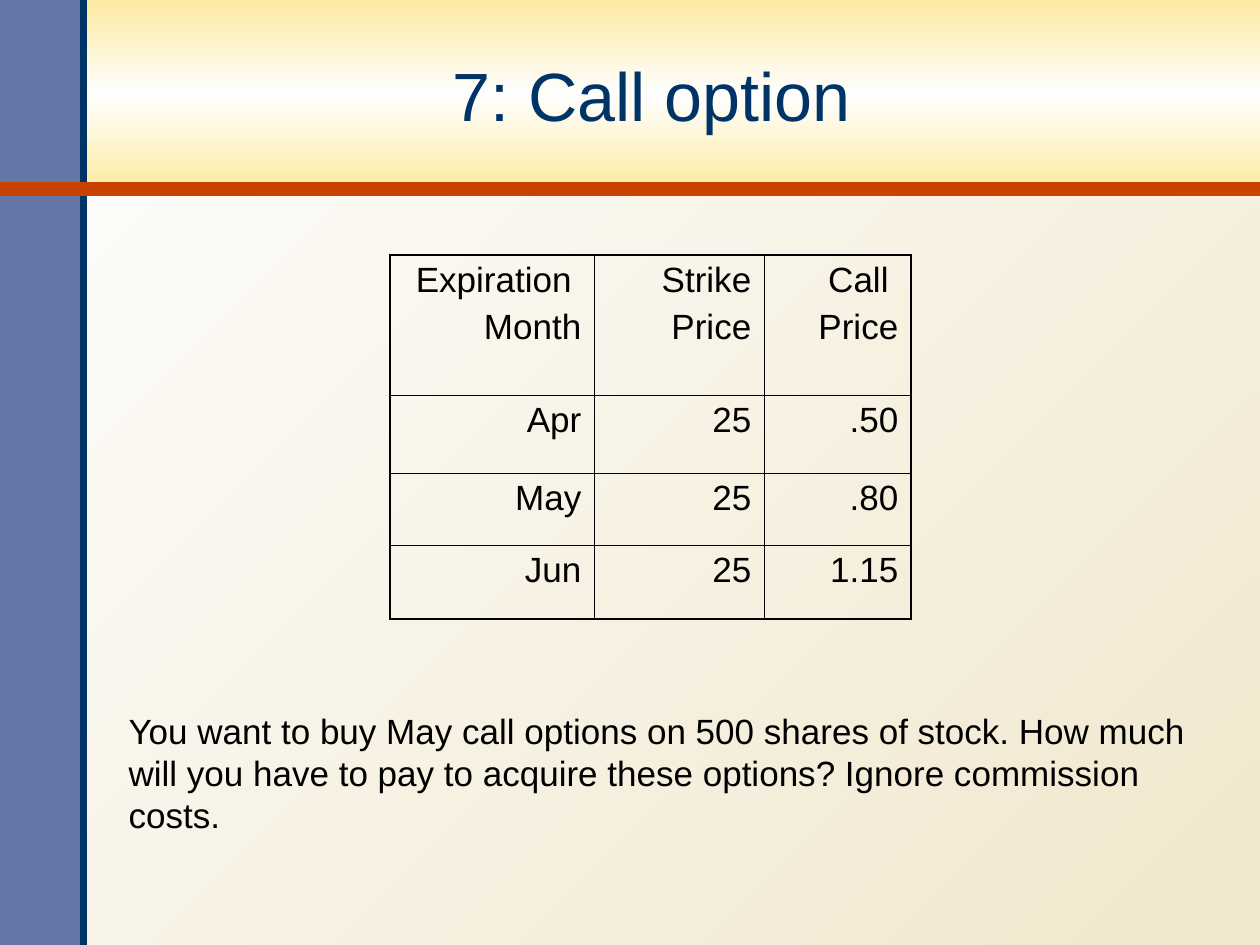
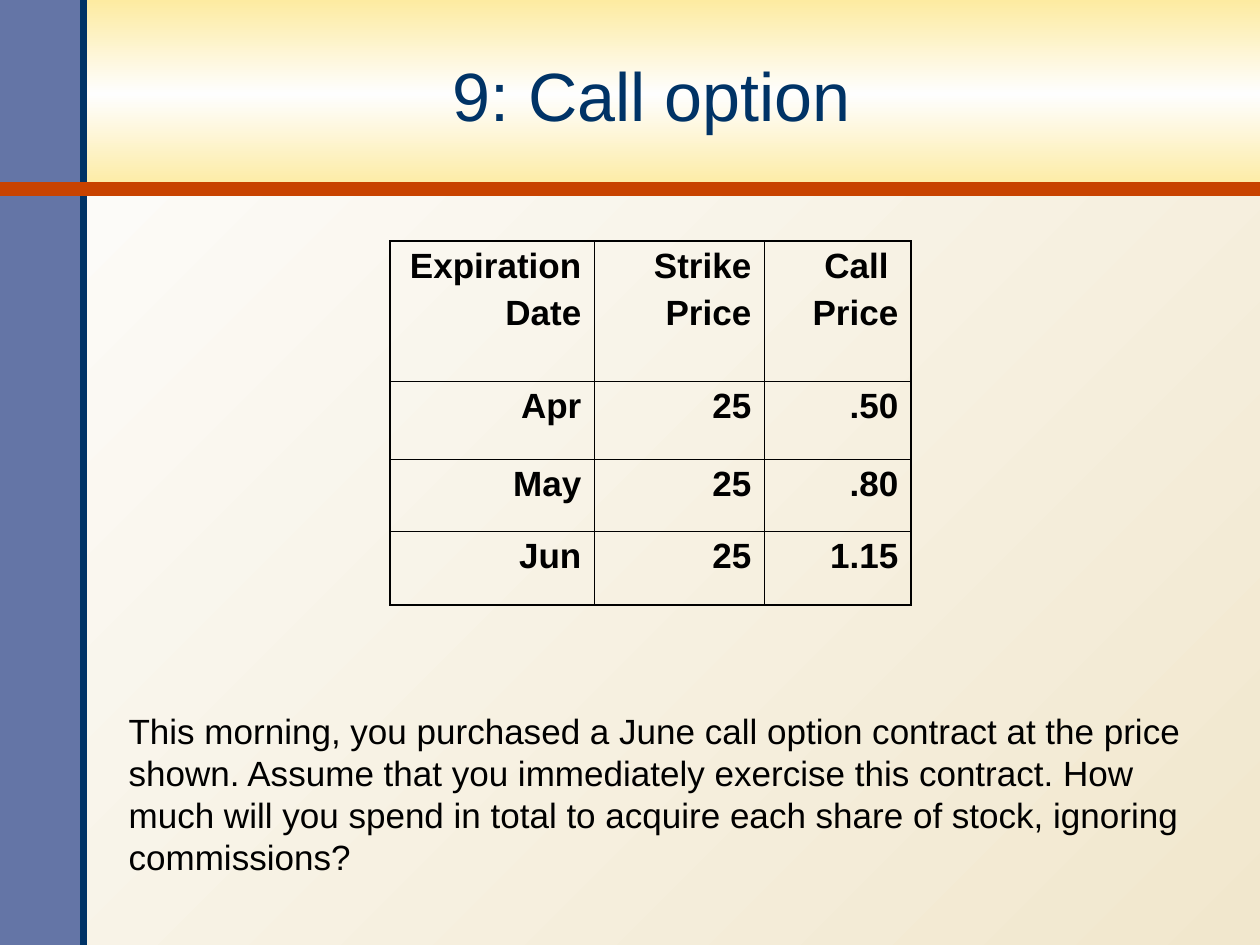
from copy import deepcopy

from lxml import etree
from pptx import Presentation
from pptx import util as u
from pptx.dml.color import RGBColor
from pptx.enum import shapes, text
from pptx.oxml.ns import qn

QUESTIONS = [
    {
        "title": "7: Call option",
        "date_heading": "Expiration \nMonth",
        "table_top": 255,
        "bold": False,
        "question": "You want to buy May call options on 500 shares of stock. "
                    "How much will you have to pay to acquire these options? "
                    "Ignore commission costs.",
        "question_height": 139,
    },
    {
        "title": "9: Call option",
        "date_heading": "Expiration \nDate",
        "table_top": 241,
        "bold": True,
        "question": "This morning, you purchased a June call option contract at the price shown. "
                    "Assume that you immediately exercise this contract. "
                    "How much will you spend in total to acquire each share of stock, "
                    "ignoring commissions?",
        "question_height": 181,
    },
]
PRICE_HEADINGS = ["Strike\nPrice", "Call \nPrice"]
QUOTES = [["Apr", "25", ".50"], ["May", "25", ".80"], ["Jun", "25", "1.15"]]

WIDTH, HEIGHT = 1260, 945
BAND_HEIGHT, SIDEBAR_WIDTH = 189, 84
TITLE_BOX = (82, 19, 1139, 151)
TABLE_LEFT = 390
COLUMN_WIDTHS = [204, 170, 147]
ROW_HEIGHTS = [140, 78, 72, 74]
QUESTION_LEFT, QUESTION_TOP, QUESTION_WIDTH = 116, 703, 1092

FONT = "Arial"
NAVY, ORANGE, SLATE, BLACK = "003366", "C84300", "6475A6", "000000"
PAGE_STOPS = [(0, "F1E7CD"), (1, "FEFEFE")]
BAND_STOPS = [(0, "FDEBA1"), (0.5, "FEFEFE"), (1, "FDEBA1")]
OUTER_LINE, INNER_LINE = 1.08, 0.45


def px(length):
    return u.Emu(round(length * 914400 / 126))


def color(value):
    return RGBColor.from_string(value)


def place(box, left, top, width, height):
    box.left, box.top, box.width, box.height = map(px, (left, top, width, height))


def set_gradient(fill, owner, stops, angle):
    fill.gradient()
    fill.gradient_angle = angle
    stop_list = owner.find(".//" + qn("a:gsLst"))
    while len(stop_list) < len(stops):
        stop_list.append(deepcopy(stop_list[-1]))
    for stop, (position, value) in zip(fill.gradient_stops, stops):
        stop.position = position
        stop.color.rgb = color(value)


def format_paragraph(para, size, value, align, bold=False):
    para.alignment = align
    para.font.name = FONT
    para.font.size = u.Pt(size)
    para.font.bold = bold
    para.font.color.rgb = color(value)


def add_block(page, width, height):
    block = page.shapes.add_shape(shapes.MSO_SHAPE.RECTANGLE, 0, 0, px(width), px(height))
    block.shadow.inherit = False
    block.line.fill.background()
    return block


def add_rule(page, start, end, value, weight):
    rule = page.shapes.add_connector(shapes.MSO_CONNECTOR.STRAIGHT, *map(px, start + end))
    rule.line.color.rgb = color(value)
    rule.line.width = u.Pt(weight)
    etree.SubElement(rule.element.spPr, qn("a:effectLst"))
    return rule


def decorate_layout(layout, page):
    set_gradient(layout.background.fill, layout.element, PAGE_STOPS, 135)
    band = add_block(page, WIDTH, BAND_HEIGHT)
    set_gradient(band.fill, band.element, BAND_STOPS, 270)
    sidebar = add_block(page, SIDEBAR_WIDTH, HEIGHT)
    sidebar.fill.solid()
    sidebar.fill.fore_color.rgb = color(SLATE)
    edge = add_rule(page, (SIDEBAR_WIDTH, HEIGHT), (SIDEBAR_WIDTH, 0), NAVY, 4)
    divider = add_rule(page, (0, BAND_HEIGHT), (WIDTH, BAND_HEIGHT), ORANGE, 8)
    for index, part in enumerate([band, sidebar, edge, divider], 2):
        layout.shapes.element.insert(index, part.element)
    for number, properties in enumerate(layout.element.iter(qn("p:cNvPr")), 1):
        properties.set("id", str(number))


def set_borders(cell, weights):
    properties = cell._tc.get_or_add_tcPr()
    for index, (side, weight) in enumerate(weights.items()):
        border = etree.Element(qn("a:" + side), w=str(u.Pt(weight)))
        fill = etree.SubElement(border, qn("a:solidFill"))
        etree.SubElement(fill, qn("a:srgbClr"), val=BLACK)
        properties.insert(index, border)


def add_quotes(page, top, rows, bold):
    frame = page.shapes.add_table(
        len(rows), len(COLUMN_WIDTHS), px(TABLE_LEFT), px(top),
        px(sum(COLUMN_WIDTHS)), px(sum(ROW_HEIGHTS)))
    table = frame.table
    table.first_row = table.horz_banding = False
    for column, width in zip(table.columns, COLUMN_WIDTHS):
        column.width = px(width)
    for row, height in zip(table.rows, ROW_HEIGHTS):
        row.height = px(height)
    last_row, last_column = len(rows) - 1, len(COLUMN_WIDTHS) - 1
    for r, values in enumerate(rows):
        for c, value in enumerate(values):
            cell = table.cell(r, c)
            cell.text = value
            cell.fill.background()
            for para in cell.text_frame.paragraphs:
                format_paragraph(para, 20, BLACK, text.PP_ALIGN.RIGHT, bold)
                para.space_before = u.Pt(4.5)
            on_edge = {"lnL": c == 0, "lnR": c == last_column,
                       "lnT": r == 0, "lnB": r == last_row}
            set_borders(cell, {side: OUTER_LINE if outer else INNER_LINE
                               for side, outer in on_edge.items()})


def add_title(page, wording):
    title = page.shapes.title
    place(title, *TITLE_BOX)
    title.text_frame.text = wording
    title.text_frame.auto_size = text.MSO_AUTO_SIZE.NONE
    title.text_frame.vertical_anchor = text.MSO_ANCHOR.MIDDLE
    format_paragraph(title.text_frame.paragraphs[0], 39, NAVY, text.PP_ALIGN.CENTER)


def add_question(page, wording, height):
    body = page.placeholders[1]
    place(body, QUESTION_LEFT, QUESTION_TOP, QUESTION_WIDTH, height)
    body.text_frame.text = wording
    body.text_frame.auto_size = text.MSO_AUTO_SIZE.NONE
    para = body.text_frame.paragraphs[0]
    format_paragraph(para, 20, BLACK, text.PP_ALIGN.LEFT)
    para.space_before = u.Pt(0)
    para.line_spacing = u.Pt(24)
    properties = para._p.get_or_add_pPr()
    properties.set("marL", "0")
    properties.set("indent", "0")
    bullet = etree.Element(qn("a:buNone"))
    properties.find(qn("a:defRPr")).addprevious(bullet)


def main():
    deck = Presentation()
    deck.slide_width, deck.slide_height = px(WIDTH), px(HEIGHT)
    layout = deck.slide_layouts[1]
    pages = [deck.slides.add_slide(layout) for _ in QUESTIONS]
    decorate_layout(layout, pages[0])
    for page, item in zip(pages, QUESTIONS):
        add_title(page, item["title"])
        rows = [[item["date_heading"]] + PRICE_HEADINGS] + QUOTES
        add_quotes(page, item["table_top"], rows, item["bold"])
        add_question(page, item["question"], item["question_height"])
    deck.save("out.pptx")


if __name__ == "__main__":
    main()
